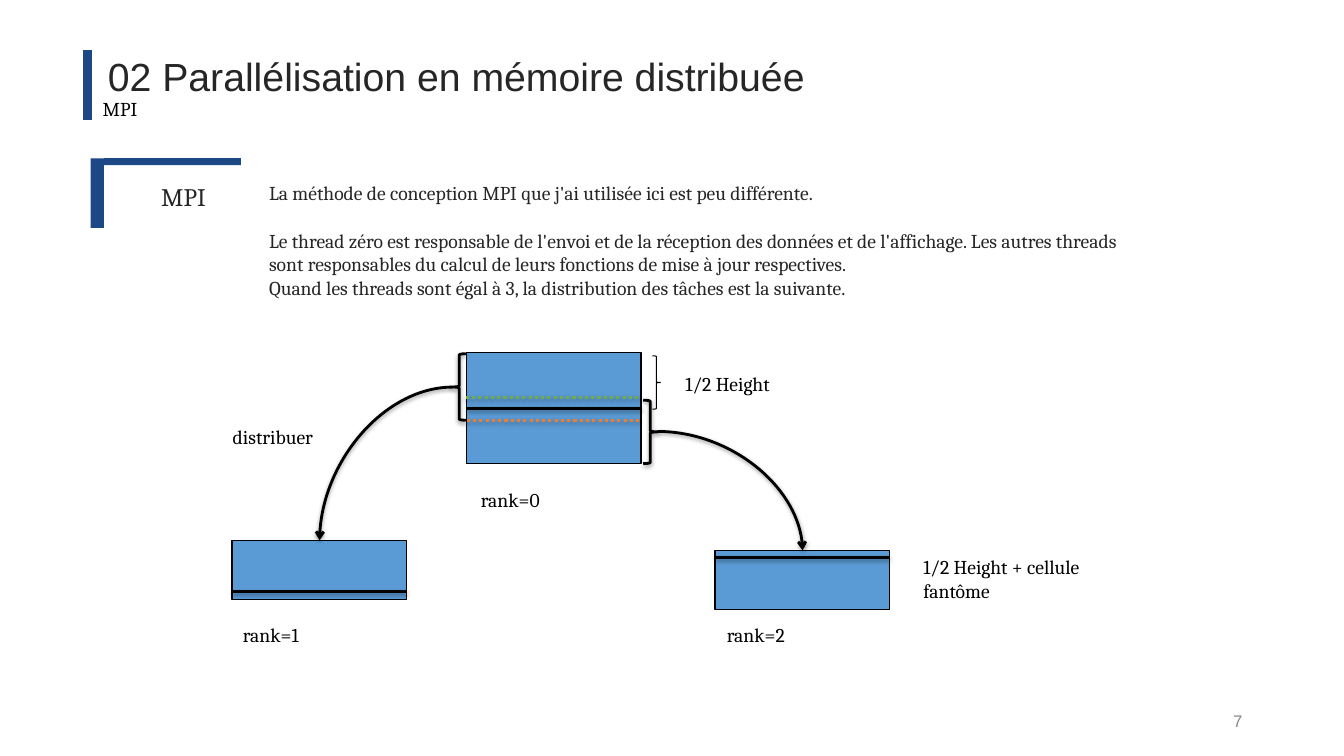
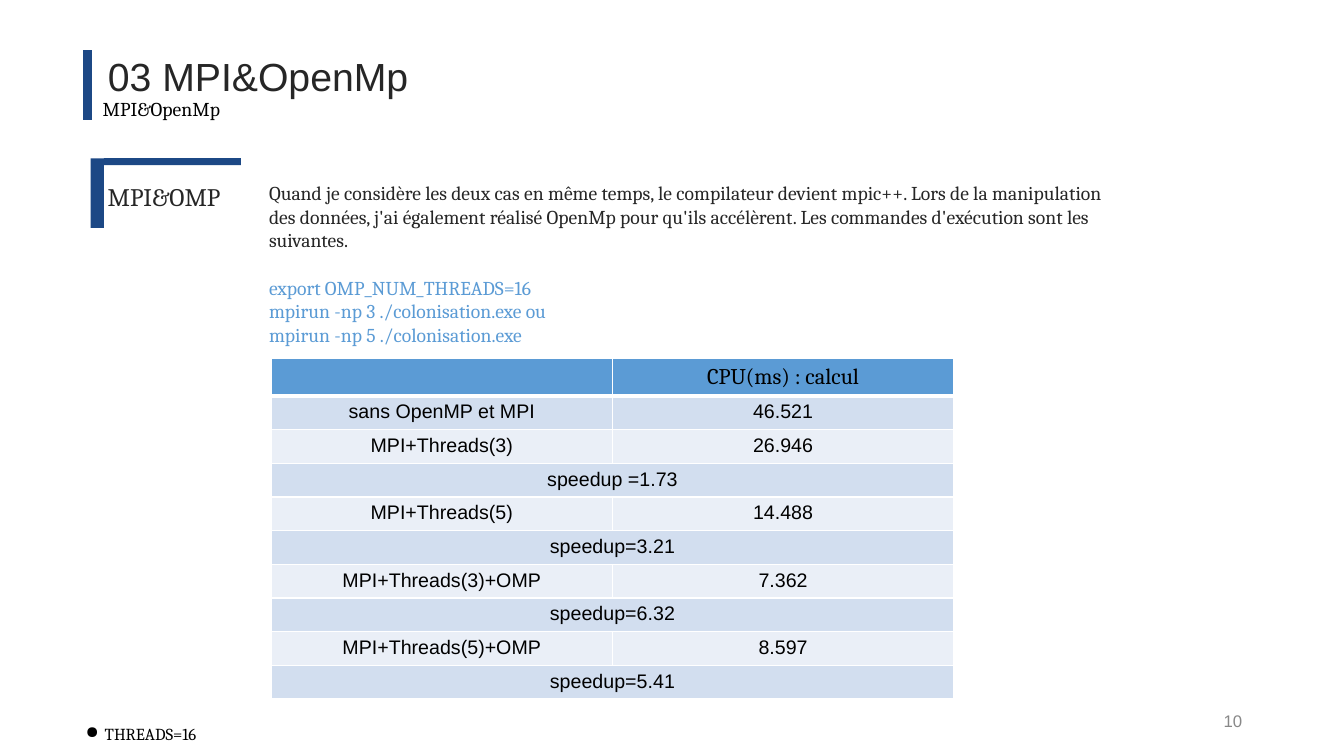
from dataclasses import dataclass
from typing import NamedTuple, Optional

from lxml.etree import SubElement
from pptx import Presentation
from pptx.dml.color import RGBColor as Rgb
from pptx.enum.dml import MSO_LINE as Dash
from pptx.enum.shapes import MSO_CONNECTOR as Link, MSO_SHAPE as Form
from pptx.enum.text import MSO_ANCHOR as Anchor, MSO_AUTO_SIZE as Fit, PP_ALIGN as Align
from pptx.oxml import parse_xml
from pptx.oxml.ns import nsdecls, qn
from pptx.util import Inches, Pt


@dataclass(frozen=True)
class Theme:
    navy: str = "1C4885"
    blue: str = "5B9BD5"
    orange: str = "ED7D31"
    green: str = "70AD47"
    ink: str = "262626"
    black: str = "000000"
    white: str = "FFFFFF"
    grey: str = "888888"
    bands: tuple = ("D2DEEF", "EAEFF7")
    sans: str = "Arial"
    serif: str = "Cambria"
    title: float = 28
    side: float = 18
    head: float = 16
    body: float = 14
    note: float = 12
    rule: float = 2


T = Theme()


class Box(NamedTuple):
    x: float
    y: float
    w: float
    h: float

    def emu(self) -> tuple:
        return tuple(Inches(v) for v in self)


class Para(NamedTuple):
    text: str
    color: str = T.ink
    gap: float = 0


class Label(NamedTuple):
    text: str
    box: Box


class Rule(NamedTuple):
    x: float
    y: float
    color: str = T.black
    width: float = T.rule
    dash: Optional[Dash] = None


class Brace(NamedTuple):
    form: Form
    box: Box
    width: float = T.rule
    shade: bool = True


class Curve(NamedTuple):
    x1: float
    y1: float
    x2: float
    y2: float


class Page(NamedTuple):
    title: str
    sub: str
    side: str
    align: Align
    number: int
    body: list


def style(para, size: float, font: str, color: str, align=Align.LEFT) -> None:
    para.alignment = align
    for run in para.runs:
        run.font.size = Pt(size)
        run.font.name = font
        run.font.bold = False
        run.font.color.rgb = Rgb.from_string(color)


def write(slide, box: Box, paras: list, size: float = T.body, font: str = T.serif,
          align=Align.LEFT, anchor=Anchor.TOP):
    frame = slide.shapes.add_textbox(*box.emu()).text_frame
    frame.word_wrap = True
    frame.vertical_anchor = anchor
    for i, item in enumerate(paras):
        para = frame.add_paragraph() if i else frame.paragraphs[0]
        para.text = item.text
        para.space_before = Pt(item.gap)
        style(para, size, font, item.color, align)
    return frame


def effect(shape, shade: bool) -> None:
    """Give the shape a soft shadow, or none at all."""
    glow = ('<a:outerShdw blurRad="40000" dist="20000" dir="5400000" rotWithShape="0">'
            '<a:srgbClr val="000000"><a:alpha val="38000"/></a:srgbClr></a:outerShdw>')
    inner = glow if shade else ""
    shape._element.spPr.append(
        parse_xml(f'<a:effectLst {nsdecls("a")}>{inner}</a:effectLst>'))


def stroke(shape, color: str, width: float) -> None:
    shape.line.color.rgb = Rgb.from_string(color)
    shape.line.width = Pt(width)


def block(slide, box: Box, fill: str, edge: Optional[str] = None) -> None:
    shape = slide.shapes.add_shape(Form.RECTANGLE, *box.emu())
    shape.shadow.inherit = False
    shape.fill.solid()
    shape.fill.fore_color.rgb = Rgb.from_string(fill)
    if edge:
        stroke(shape, edge, 1)
    else:
        shape.line.fill.background()


def join(slide, kind: Link, ends: tuple, color: str, width: float, shade: bool = True):
    line = slide.shapes.add_connector(kind, *(Inches(v) for v in ends))
    stroke(line, color, width)
    effect(line, shade)
    return line


def rule(slide, item: Rule, span: float) -> None:
    ends = (item.x, item.y, item.x + span, item.y)
    line = join(slide, Link.STRAIGHT, ends, item.color, item.width)
    if item.dash:
        line.line.dash_style = item.dash


def brace(slide, item: Brace) -> None:
    shape = slide.shapes.add_shape(item.form, *item.box.emu())
    shape.fill.background()
    stroke(shape, T.black, item.width)
    effect(shape, item.shade)


def curve(slide, item: Curve) -> None:
    """Draw a quarter-turn arrow that leaves sideways and lands downwards."""
    line = join(slide, Link.CURVE, item, T.black, T.rule)
    props = line._element.spPr
    props.find(qn("a:prstGeom")).set("prst", "curvedConnector2")
    SubElement(props.find(qn("a:ln")), qn("a:tailEnd"), type="arrow")


def start(deck, page: Page):
    """Add a slide with the title, bands, body and number that all pages share."""
    slide = deck.slides.add_slide(deck.slide_layouts[5])
    title = slide.shapes.title
    title.left, title.top, title.width, title.height = Box(0.97, 0.47, 9, 0.6).emu()
    frame = title.text_frame
    frame.text = page.title
    frame.auto_size = Fit.NONE
    frame.vertical_anchor = Anchor.TOP
    style(frame.paragraphs[0], T.title, T.sans, T.ink)
    join(slide, Link.STRAIGHT, (0.87, 0.5, 0.87, 1.19), T.navy, 6, False)
    write(slide, Box(9.42, 6.95, 3, 0.4), [Para(str(page.number), T.grey)],
          T.note, T.sans, Align.RIGHT, Anchor.MIDDLE)
    write(slide, Box(0.92, 0.91, 3.7, 0.35), [Para(page.sub, T.black)])
    for box in (Box(0.9, 1.57, 0.13, 0.69), Box(1.03, 1.57, 1.36, 0.07)):
        block(slide, box, T.navy)
    write(slide, Box(0.97, 1.75, 1.7, 0.4), [Para(page.side)], T.side, align=page.align)
    write(slide, Box(2.57, 1.75, 8.76, 1.3), page.body)
    return slide


def border(cell, last: float) -> None:
    """Edge the cell in white, with the given width at its foot."""
    props = cell._tc.get_or_add_tcPr()
    for i, (side, width) in enumerate(zip("LRTB", (1, 1, 1, last))):
        props.insert(i, parse_xml(
            f'<a:ln{side} {nsdecls("a")} w="{Pt(width)}"><a:solidFill>'
            f'<a:srgbClr val="{T.white}"/></a:solidFill></a:ln{side}>'))


def grid(slide, box: Box, rows: list, top: float) -> None:
    """Draw the table; a row with one value spans both columns."""
    table = slide.shapes.add_table(len(rows), 2, *box.emu()).table
    for r, row in enumerate(rows):
        head = r == 0
        table.rows[r].height = Inches(top if head else (box.h - top) / (len(rows) - 1))
        fill = T.blue if head else T.bands[(r - 1) % 2]
        size, font = (T.head, T.serif) if head else (T.body, T.sans)
        for c in range(2):
            cell = table.cell(r, c)
            cell.fill.solid()
            cell.fill.fore_color.rgb = Rgb.from_string(fill)
            border(cell, 3 if head else 1)
            para = cell.text_frame.paragraphs[0]
            if c < len(row) and row[c]:
                para.text = row[c]
                style(para, size, font, T.black, Align.CENTER)
            else:
                SubElement(para._p, qn("a:endParaRPr"), sz=str(int(size * 100)))
        if len(row) == 1:
            table.cell(r, 0).merge(table.cell(r, 1))


def split(deck) -> None:
    """Show how the grid is shared out between the ranks."""
    slide = start(deck, Page(
        "02 Parallélisation en mémoire distribuée", "MPI", "MPI", Align.CENTER, 7, [
            Para("La méthode de conception MPI que j'ai utilisée ici est peu différente."),
            Para("Le thread zéro est responsable de l'envoi et de la réception des données "
                 "et de l'affichage. Les autres threads sont responsables du calcul de "
                 "leurs fonctions de mise à jour respectives.", gap=17),
            Para("Quand les threads sont égal à 3, la distribution des tâches est la "
                 "suivante."),
        ]))
    span = 1.73
    for box in (Box(4.63, 3.5, span, 1.1), Box(2.3, 5.36, span, 0.59),
                Box(7.09, 5.46, span, 0.59)):
        block(slide, box, T.blue, T.black)
    for item in (Rule(4.63, 4.05), Rule(2.3, 5.87), Rule(7.09, 5.53),
                 Rule(4.63, 4.17, T.orange, 2.25, Dash.ROUND_DOT),
                 Rule(4.62, 3.94, T.green, 2.25, Dash.ROUND_DOT)):
        rule(slide, item, span)
    for item in (Brace(Form.LEFT_BRACE, Box(4.49, 3.51, 0.13, 0.66)),
                 Brace(Form.RIGHT_BRACE, Box(6.47, 3.53, 0.08, 0.53), 0.75, False),
                 Brace(Form.RIGHT_BRACE, Box(6.38, 3.97, 0.14, 0.63))):
        brace(slide, item)
    for item in (Curve(4.49, 3.84, 3.17, 5.36), Curve(6.52, 4.28, 7.96, 5.46)):
        curve(slide, item)
    for text, box in (Label("1/2 Height", Box(6.7, 3.64, 1.32, 0.34)),
                      Label("distribuer", Box(2.21, 4.17, 1.22, 0.34)),
                      Label("rank=0", Box(4.67, 4.79, 1.72, 0.34)),
                      Label("rank=1", Box(2.31, 6.13, 1.72, 0.34)),
                      Label("rank=2", Box(7.11, 6.13, 1.72, 0.34)),
                      Label("1/2 Height + cellule fantôme", Box(9.06, 5.46, 2.02, 0.57))):
        write(slide, box, [Para(text, T.black)])


def timing(deck) -> None:
    """Compare the run times of MPI with and without OpenMP."""
    slide = start(deck, Page(
        "03 MPI&OpenMp", "MPI&OpenMp", "MPI&OMP", Align.LEFT, 10, [
            Para("Quand je considère les deux cas en même temps, le compilateur devient "
                 "mpic++. Lors de la manipulation des données, j'ai également réalisé "
                 "OpenMp pour qu'ils accélèrent. Les commandes d'exécution sont les "
                 "suivantes."),
            Para("export OMP_NUM_THREADS=16", T.blue, 17),
            Para("mpirun -np 3 ./colonisation.exe ou", T.blue),
            Para("mpirun -np 5 ./colonisation.exe", T.blue),
        ]))
    grid(slide, Box(2.69, 3.56, 6.77, 3.37), [
        ("", "CPU(ms) : calcul"),
        ("sans OpenMP et MPI", "46.521"),
        ("MPI+Threads(3)", "26.946"),
        ("speedup =1.73",),
        ("MPI+Threads(5)", "14.488"),
        ("speedup=3.21",),
        ("MPI+Threads(3)+OMP", "7.362"),
        ("speedup=6.32",),
        ("MPI+Threads(5)+OMP", "8.597"),
        ("speedup=5.41",),
    ], 0.37)
    note = write(slide, Box(0.75, 7.13, 1.95, 0.3), [Para("THREADS=16", T.black)], T.note)
    props = note.paragraphs[0]._p.get_or_add_pPr()
    props.set("marL", str(Inches(0.19)))
    props.set("indent", str(-Inches(0.19)))
    SubElement(props, qn("a:buChar"), char="●")


def main() -> None:
    deck = Presentation()
    deck.slide_width, deck.slide_height = Inches(13.33), Inches(7.5)
    split(deck)
    timing(deck)
    deck.save("out.pptx")


if __name__ == "__main__":
    main()
